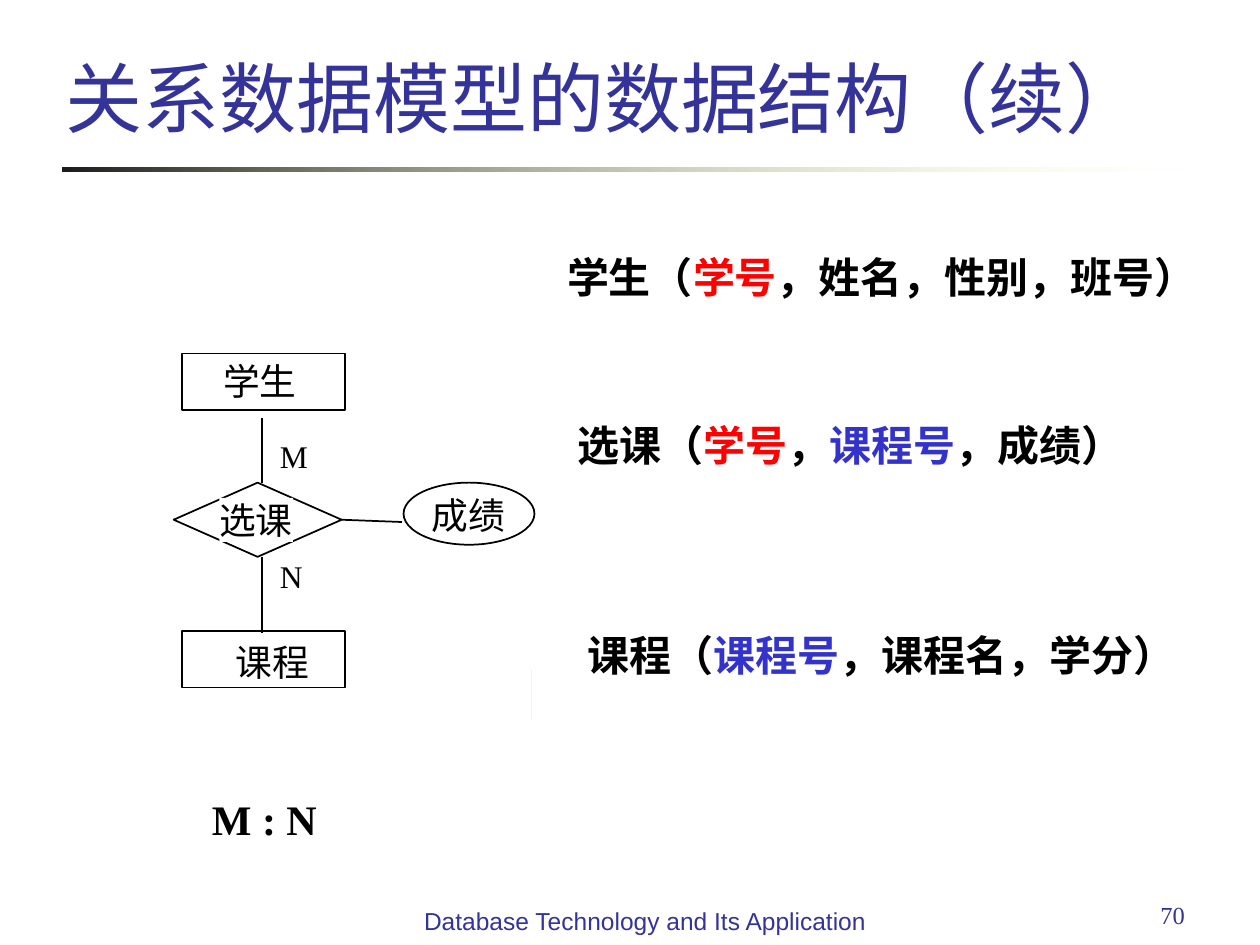
from dataclasses import dataclass

from lxml import etree
from pptx import Presentation
from pptx.dml.color import RGBColor
from pptx.enum.shapes import MSO_CONNECTOR, MSO_SHAPE
from pptx.enum.text import MSO_ANCHOR, MSO_AUTO_SIZE, PP_ALIGN
from pptx.oxml.ns import qn
from pptx.util import Pt

RECTANGLE, OVAL = MSO_SHAPE.RECTANGLE, MSO_SHAPE.OVAL
STRAIGHT = MSO_CONNECTOR.STRAIGHT
LEFT, CENTER, RIGHT = PP_ALIGN.LEFT, PP_ALIGN.CENTER, PP_ALIGN.RIGHT
BOTTOM = MSO_ANCHOR.BOTTOM
NO_AUTOSIZE, FIT_SHAPE = MSO_AUTO_SIZE.NONE, MSO_AUTO_SIZE.SHAPE_TO_FIT_TEXT


@dataclass(frozen=True)
class Theme:
    black: str = "000000"
    white: str = "FFFFFF"
    navy: str = "333399"
    blue: str = "3333CC"
    red: str = "FF0000"
    mint: str = "00E4A8"
    rule_start: str = "1C1C1C"
    rule_end: str = "FFFFB7"
    chinese: str = "Noto Sans CJK SC"
    serif: str = "Times New Roman"
    sans: str = "Arial"
    title: int = 44
    relation: int = 24
    entity: int = 21
    cardinality: int = 18
    footer: int = 14
    line: int = 1


THEME = Theme()
TITLE = "关系数据模型的数据结构（续）"
RELATIONS = [
    (324, 144, [("学生（", THEME.black), ("学号", THEME.red), ("，姓名，性别，班号）", THEME.black)]),
    (336, 360, [("课程（", THEME.black), ("课程号", THEME.blue), ("，课程名，学分）", THEME.black)]),
    (330, 240, [("选课（", THEME.black), ("学号", THEME.red), ("，", THEME.black),
                ("课程号", THEME.blue), ("，成绩）", THEME.black)]),
]
DIAMOND = [(147.2, 275.8), (99.2, 297), (147.2, 318.2), (195.2, 297)]
NODES = [
    ("选课", (125.3, 284.5), None, None),
    ("学生", (127.6, 205.2), RECTANGLE, (104.2, 202, 93, 32.5)),
    ("课程", (134.6, 365.8), RECTANGLE, (104.2, 360.4, 93, 32.5)),
    ("成绩", (246.5, 281.7), OVAL, (230.6, 275.8, 74.8, 35.5)),
]
CARDINALITIES = [("M", 160, 250), ("N", 160, 318.5)]
LINKS = [((149.7, 239), (149.7, 275.8)), ((149.7, 318.2), (149.7, 361.5)),
         ((195.2, 297), (229.7, 298.3))]
RATIO = "M : N"
FOOTERS = [
    ("70", (516.2, 510.5, 168, 37.4), RIGHT, THEME.serif),
    ("Database Technology and Its Application", (229.7, 514.1, 277.9, 37.4), CENTER, THEME.sans),
]


def color(value):
    return RGBColor.from_string(value)


def points(values):
    return [Pt(value) for value in values]


def format_run(run, size, font, value, bold=False):
    run.font.size = Pt(size)
    run.font.bold = bold
    run.font.name = font
    run.font.color.rgb = color(value)
    east_asian = etree.Element(qn("a:ea"), typeface=THEME.chinese)
    run.font._element.find(qn("a:latin")).addnext(east_asian)


def add_text(slide, parts, box, size, font, bold=False, tight=True, align=LEFT, fill=None):
    shape = slide.shapes.add_textbox(*points(box))
    frame = shape.text_frame
    frame.word_wrap = not tight
    frame.auto_size = FIT_SHAPE if tight else NO_AUTOSIZE
    if tight:
        frame.margin_left = frame.margin_right = frame.margin_top = frame.margin_bottom = 0
    if fill:
        shape.fill.solid()
        shape.fill.fore_color.rgb = color(fill)
    paragraph = frame.paragraphs[0]
    paragraph.alignment = align
    for text, value in parts:
        run = paragraph.add_run()
        run.text = text
        format_run(run, size, font, value, bold)


def outline(shape):
    shape.shadow.inherit = False
    shape.fill.background()
    shape.line.color.rgb = color(THEME.black)
    shape.line.width = Pt(THEME.line)


def add_block(slide, box):
    shape = slide.shapes.add_shape(RECTANGLE, *points(box))
    shape.shadow.inherit = False
    shape.line.fill.background()
    return shape


def add_title(slide):
    title = slide.shapes.title
    title.left, title.top, title.width, title.height = points((30, 0, 632, 85))
    frame = title.text_frame
    frame.text = TITLE
    frame.word_wrap = True
    frame.auto_size = NO_AUTOSIZE
    frame.vertical_anchor = BOTTOM
    frame.paragraphs[0].alignment = LEFT
    format_run(frame.paragraphs[0].runs[0], THEME.title, THEME.serif, THEME.navy)


def add_rule(slide):
    rule = add_block(slide, (36, 95.8, 648, 2.5))
    rule.fill.gradient()
    rule.fill.gradient_angle = 0
    stops = rule.fill.gradient_stops
    for stop, value, position in zip(stops, (THEME.rule_start, THEME.rule_end), (0, 1)):
        stop.color.rgb = color(value)
        stop.position = position
    end_color = stops[1]._gs.find(qn("a:srgbClr"))
    etree.SubElement(end_color, qn("a:alpha"), val="0")


def add_diagram(slide):
    builder = slide.shapes.build_freeform(*points(DIAMOND[0]), scale=1.0)
    builder.add_line_segments([points(vertex) for vertex in DIAMOND[1:]], close=True)
    outline(builder.convert_to_shape())
    for name, corner, kind, box in NODES:
        if kind is not None:
            outline(slide.shapes.add_shape(kind, *points(box)))
        add_text(slide, [(name, THEME.black)], (*corner, 42, 25.2),
                 THEME.entity, THEME.chinese, fill=THEME.white)
    for letter, left, top in CARDINALITIES:
        add_text(slide, [(letter, THEME.black)], (left, top, 16, 21.6),
                 THEME.cardinality, THEME.serif)
    for start, end in LINKS:
        link = slide.shapes.add_connector(STRAIGHT, *points(start + end))
        link.line.color.rgb = color(THEME.black)
        link.line.width = Pt(THEME.line)
        etree.SubElement(link._element.spPr, qn("a:effectLst"))


def main():
    presentation = Presentation()
    presentation.slide_width, presentation.slide_height = Pt(720), Pt(540)
    slide = presentation.slides.add_slide(presentation.slide_layouts[5])
    add_title(slide)
    add_rule(slide)
    for left, top, parts in RELATIONS:
        width = THEME.relation * sum(len(text) for text, _ in parts)
        add_text(slide, parts, (left, top, width, 28.8), THEME.relation, THEME.chinese, bold=True)
    tick = add_block(slide, (304, 382.5, 0, 28.8))
    tick.fill.solid()
    tick.fill.fore_color.rgb = color(THEME.mint)
    add_diagram(slide)
    add_text(slide, [(RATIO, THEME.black)], (114, 450, 90, 36),
             THEME.relation, THEME.serif, bold=True, tight=False)
    for text, box, align, font in FOOTERS:
        add_text(slide, [(text, THEME.navy)], box, THEME.footer, font, tight=False, align=align)
    presentation.save("out.pptx")


if __name__ == "__main__":
    main()
